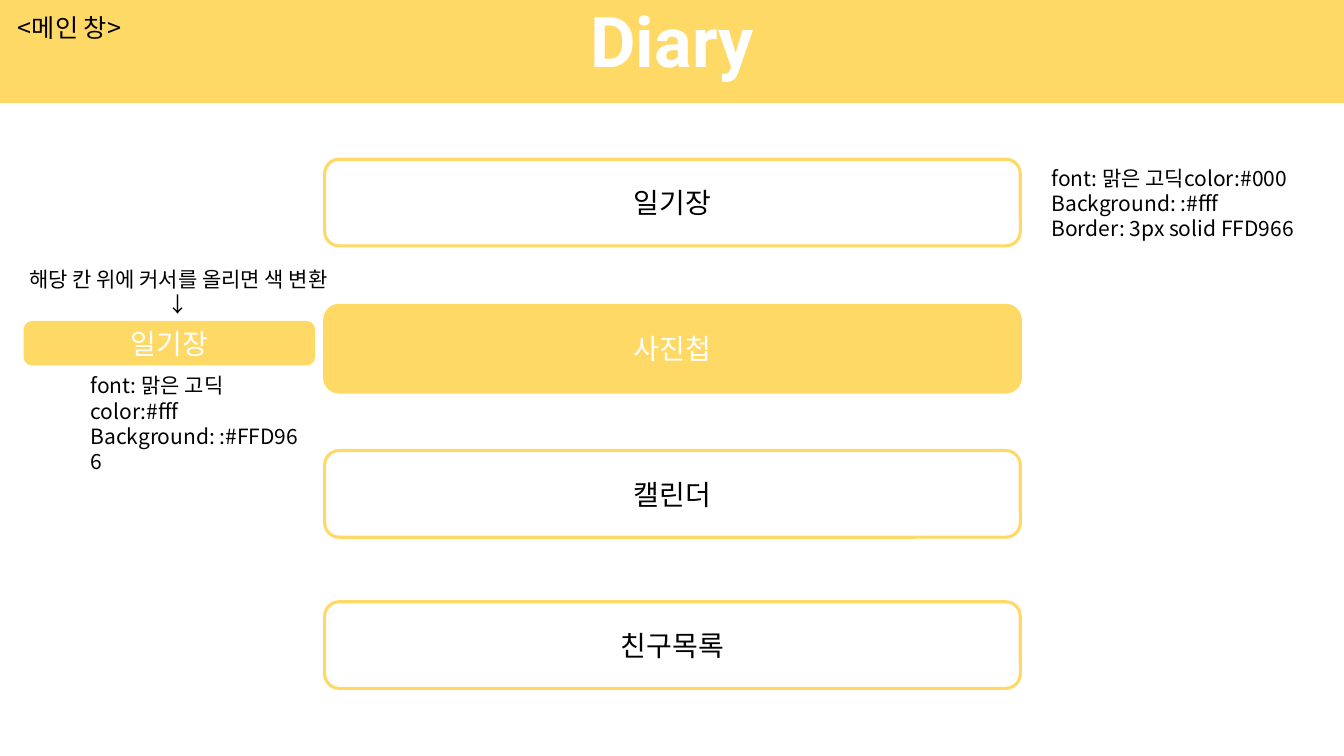
"""Build the main window mock-up of a diary app."""
from dataclasses import dataclass

from lxml.etree import SubElement
from pptx import Presentation
from pptx.dml.color import RGBColor
from pptx.enum.shapes import MSO_SHAPE
from pptx.enum.text import MSO_ANCHOR, MSO_AUTO_SIZE, PP_ALIGN
from pptx.oxml.ns import qn
from pptx.shapes.autoshape import Shape
from pptx.slide import Slide
from pptx.text.text import TextFrame
from pptx.util import Inches, Pt

ROUND = MSO_SHAPE.ROUNDED_RECTANGLE
TOP, MIDDLE = MSO_ANCHOR.TOP, MSO_ANCHOR.MIDDLE
FIXED, GROW = MSO_AUTO_SIZE.NONE, MSO_AUTO_SIZE.SHAPE_TO_FIT_TEXT
LEFT, CENTER = PP_ALIGN.LEFT, PP_ALIGN.CENTER


@dataclass(frozen=True)
class Theme:
    yellow: RGBColor = RGBColor(0xFF, 0xD9, 0x66)
    white: RGBColor = RGBColor(0xFF, 0xFF, 0xFF)
    black: RGBColor = RGBColor(0, 0, 0)
    head_font: str = "Roboto"
    font: str = "Noto Sans CJK KR"
    head: float = 50
    button: float = 20
    label: float = 18
    note: float = 15
    border: float = 2.25


@dataclass(frozen=True)
class Area:
    left: float
    top: float
    width: float
    height: float


@dataclass(frozen=True)
class Button:
    text: str
    area: Area
    active: bool = False


@dataclass(frozen=True)
class Note:
    text: str
    area: Area
    size: float
    align: PP_ALIGN = LEFT


THEME = Theme()
BAND = Area(0, -0.02, 13.33, 1.04)
MENU = (("일기장", 1.58), ("사진첩", 3.03), ("캘린더", 4.47), ("친구목록", 5.97))
HOVER = "사진첩"
BUTTONS = [
    Button(text, Area(3.22, top, 6.9, 0.86), text == HOVER) for text, top in MENU
] + [Button("일기장", Area(0.25, 3.2, 2.86, 0.41), True)]
NOTES = (
    Note("<메인 창>", Area(0.08, 0.07, 1.69, 0.4), THEME.label),
    Note("해당 칸 위에 커서를 올리면 색 변환\n↓", Area(-0.08, 2.59, 3.7, 0.61),
         THEME.note, CENTER),
    Note("font: 맑은 고딕color:#fff\nBackground: :#FFD966",
         Area(0.8, 3.65, 2.31, 0.86), THEME.note),
    Note("font: 맑은 고딕color:#000\nBackground: :#fff\nBorder: 3px solid FFD966",
         Area(10.33, 1.59, 2.66, 0.86), THEME.note),
)


def place(area: Area) -> tuple[Inches, Inches, Inches, Inches]:
    """Turn an area into slide lengths."""
    return (Inches(area.left), Inches(area.top),
            Inches(area.width), Inches(area.height))


def write(frame: TextFrame, text: str, size: float, color: RGBColor,
          align: PP_ALIGN, name: str = THEME.font, bold: bool = False) -> None:
    """Fill a frame with evenly styled paragraphs."""
    frame.text = text
    frame.word_wrap = True
    for para in frame.paragraphs:
        para.alignment = align
        font = para.font
        font.size, font.bold, font.name = Pt(size), bold, name
        font.color.rgb = color
        props = para._p.get_or_add_pPr().find(qn("a:defRPr"))
        SubElement(props, qn("a:ea"), typeface=name)


def paint(shape: Shape, fill: RGBColor, width: float) -> None:
    """Give a shape its fill and yellow border."""
    shape.fill.solid()
    shape.fill.fore_color.rgb = fill
    shape.line.color.rgb = THEME.yellow
    shape.line.width = Pt(width)


def draw_head(slide: Slide) -> None:
    """Draw the title band."""
    title = slide.shapes.title
    title.left, title.top, title.width, title.height = place(BAND)
    paint(title, THEME.yellow, 1)
    frame = title.text_frame
    write(frame, "Diary", THEME.head, THEME.white, CENTER, THEME.head_font, True)
    frame.auto_size = FIXED
    frame.vertical_anchor = TOP
    frame.margin_top = 0


def draw_button(slide: Slide, item: Button) -> None:
    """Draw one rounded menu button."""
    shape = slide.shapes.add_shape(ROUND, *place(item.area))
    shape.shadow.inherit = False
    paint(shape, THEME.yellow if item.active else THEME.white, THEME.border)
    color = THEME.white if item.active else THEME.black
    write(shape.text_frame, item.text, THEME.button, color, CENTER)
    shape.text_frame.vertical_anchor = MIDDLE


def draw_note(slide: Slide, item: Note) -> None:
    """Draw one text note."""
    frame = slide.shapes.add_textbox(*place(item.area)).text_frame
    write(frame, item.text, item.size, THEME.black, item.align)
    frame.auto_size = GROW


def main() -> None:
    """Build and save the slide."""
    deck = Presentation()
    deck.slide_width, deck.slide_height = Inches(13.33), Inches(7.5)
    slide = deck.slides.add_slide(deck.slide_layouts.get_by_name("Title Only"))
    draw_head(slide)
    for button in BUTTONS:
        draw_button(slide, button)
    for note in NOTES:
        draw_note(slide, note)
    deck.save("out.pptx")


if __name__ == "__main__":
    main()
